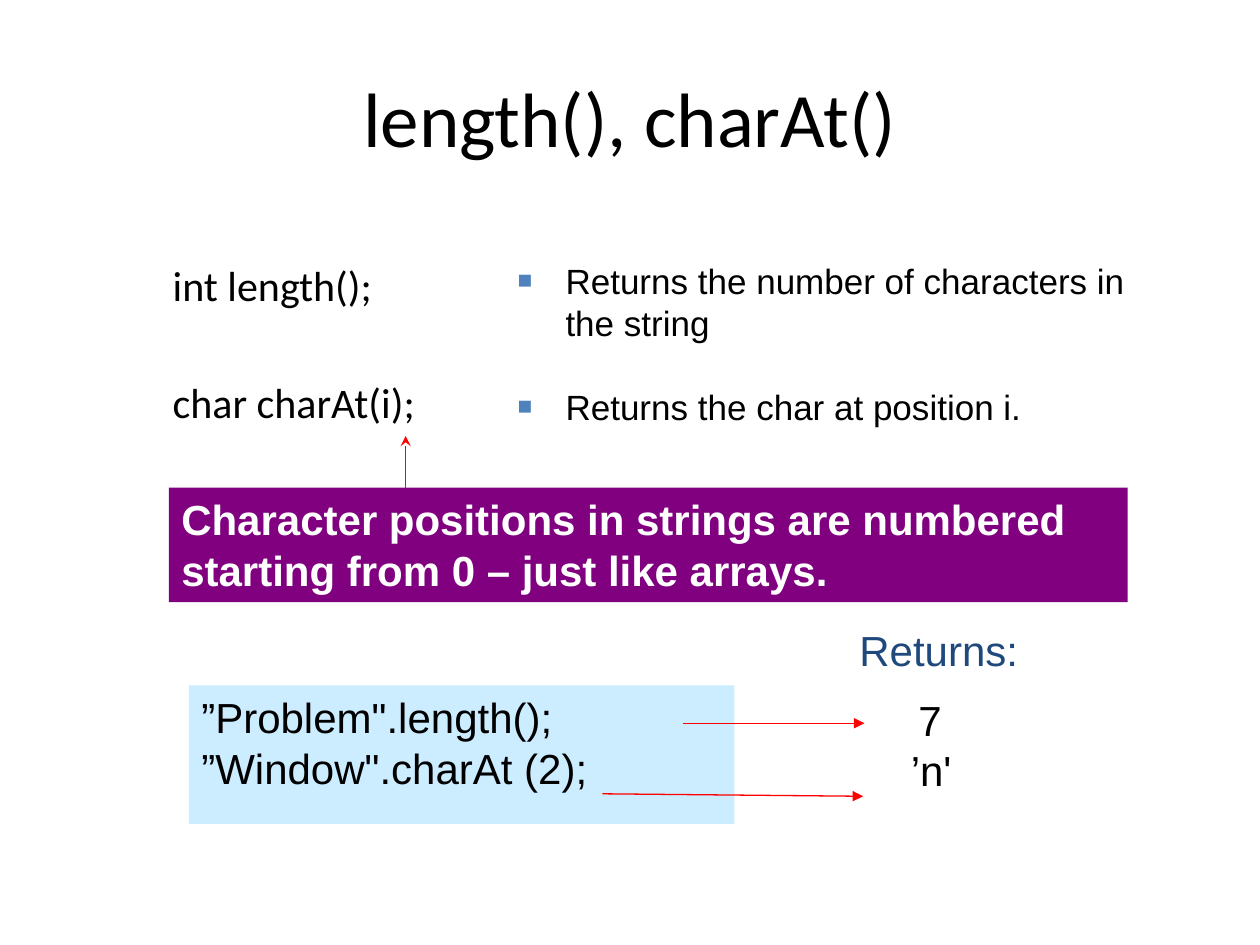
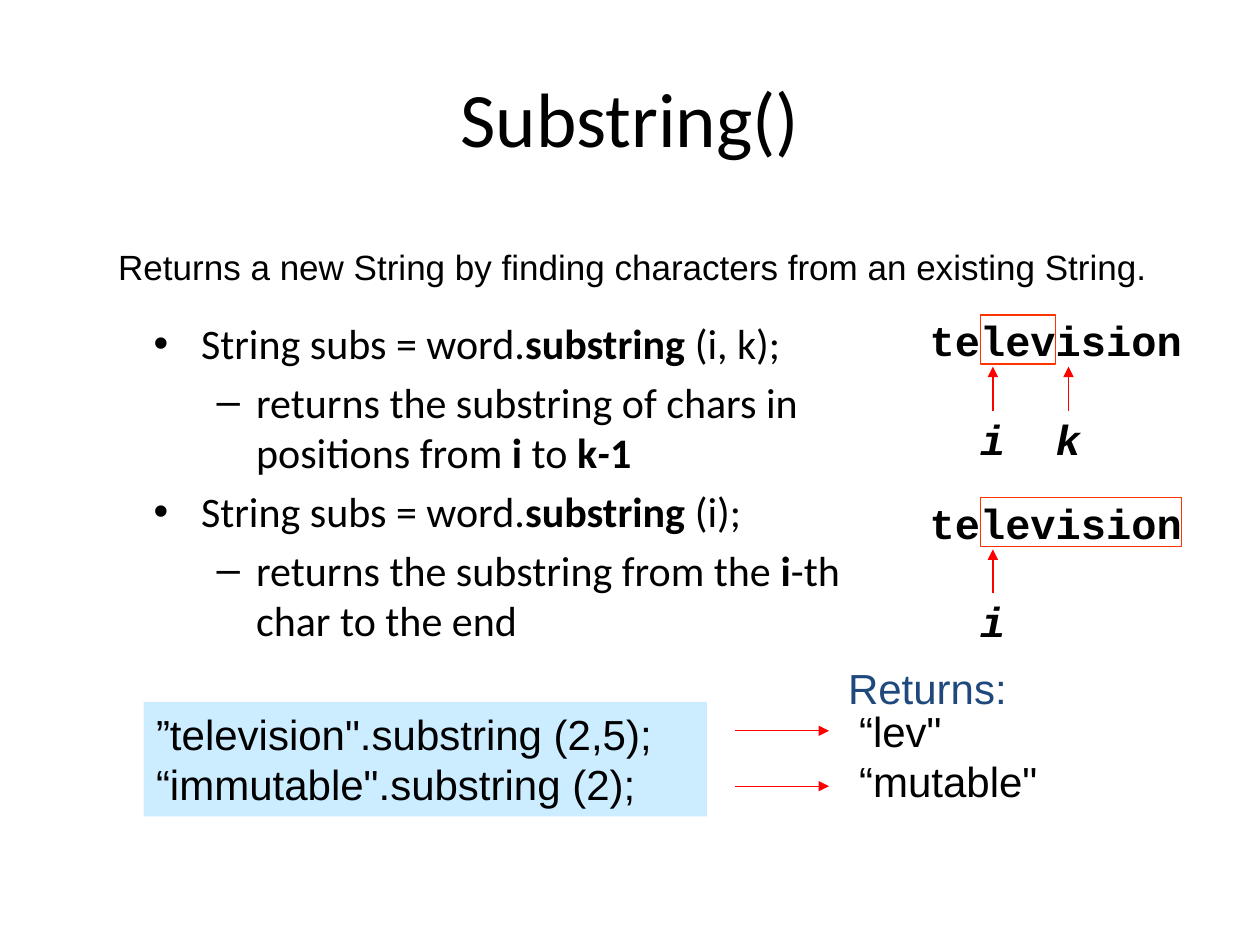
from dataclasses import dataclass

from lxml.etree import SubElement
from pptx import Presentation
from pptx.dml.color import RGBColor
from pptx.enum.shapes import MSO_CONNECTOR, MSO_SHAPE
from pptx.enum.text import MSO_ANCHOR, MSO_AUTO_SIZE, PP_ALIGN
from pptx.oxml.ns import qn
from pptx.util import Inches, Pt


@dataclass(frozen=True)
class Theme:
    ink: str = "000000"
    white: str = "FFFFFF"
    heading: str = "1F497D"
    bullet: str = "4F81BD"
    code_fill: str = "CCECFF"
    note_fill: str = "800080"
    arrow: str = "FF0000"
    frame: str = "FF3300"
    title_font: str = "Calibri"
    text_font: str = "Arial"
    mono_font: str = "Courier New"
    title_size: int = 44
    main_size: int = 24
    small_size: int = 20
    line_width: float = 0.75


THEME = Theme()

# Content: a paragraph is a list of (text, style) runs, styles being "b" and "i"
LENGTH_TITLE = "length(), charAt()"
SIGNATURES = ["int length();", "char charAt(i);"]
MEANINGS = ["Returns the number of characters in the string",
            "Returns the char at position i."]
POSITION_NOTE = "Character positions in strings are numbered starting from 0 – just like arrays."
LENGTH_CALLS = ["”Problem\".length();", "”Window\".charAt (2);"]
LENGTH_RESULTS = ["7", "’n'"]
RETURNS = "Returns:"

SUBSTRING_TITLE = "Substring()"
SUBSTRING_INTRO = "Returns a new String by finding characters from an existing String."
SUBSTRING_FORMS = [
    (0, [("String subs = word.", ""), ("substring", "b"), (" (i, k);", "")]),
    (1, [("returns the substring of chars in positions from ", ""), ("i", "b"),
         (" to ", ""), ("k", "b"), ("-", "bi"), ("1", "b")]),
    (0, [("String subs = word.", ""), ("substring ", "b"), ("(i);", "")]),
    (1, [("returns the substring from the ", ""), ("i", "b"),
         ("-th char to the end", "")]),
]
SUBSTRING_CALLS = ["”television\".substring (2,5);", "“immutable\".substring (2);"]
SUBSTRING_RESULTS = ["“lev\"", "“mutable\""]

# Each word: top, framed slice, and the index that each label points at
WORD = "television"
MARKED_WORDS = [(2.45, (2, 5), {"i": 2, "k": 5}),
                (3.9, (2, len(WORD)), {"i": 2})]
WORD_LEFT, CHAR_WIDTH = 7.38, 0.2


# Shared helpers
def rgb(value):
    return RGBColor.from_string(value)


def place(shape, box):
    shape.left, shape.top, shape.width, shape.height = map(Inches, box)


def add_runs(paragraph, runs, font=THEME.text_font, size=THEME.main_size, color=THEME.ink):
    for text, style in runs:
        run = paragraph.add_run()
        run.text = text
        run.font.name = font
        run.font.size = Pt(size)
        run.font.bold = "b" in style
        run.font.italic = "i" in style
        run.font.color.rgb = rgb(color)


def paragraphs_of(frame, count):
    return [frame.paragraphs[0]] + [frame.add_paragraph() for _ in range(count - 1)]


def write(frame, lines, style="", align=PP_ALIGN.LEFT, **look):
    frame.word_wrap = True
    frame.auto_size = MSO_AUTO_SIZE.NONE
    frame.vertical_anchor = MSO_ANCHOR.TOP
    paragraphs = paragraphs_of(frame, len(lines))
    for paragraph, line in zip(paragraphs, lines):
        paragraph.alignment = align
        add_runs(paragraph, [(line, style)], **look)
    return paragraphs


def add_text(slide, box, lines, **look):
    return write(slide.shapes.add_textbox(*map(Inches, box)).text_frame, lines, **look)


def add_rect(slide, box, fill=None, outline=None):
    rect = slide.shapes.add_shape(MSO_SHAPE.RECTANGLE, *map(Inches, box))
    rect.shadow.inherit = False
    if fill:
        rect.fill.solid()
        rect.fill.fore_color.rgb = rgb(fill)
    else:
        rect.fill.background()
    if outline:
        rect.line.color.rgb = rgb(outline)
        rect.line.width = Pt(THEME.line_width)
    else:
        rect.line.fill.background()
    return rect


def add_panel(slide, box, fill, lines, **look):
    write(add_rect(slide, box, fill).text_frame, lines, **look)


def add_arrow(slide, start, end, head="triangle"):
    arrow = slide.shapes.add_connector(MSO_CONNECTOR.STRAIGHT, *map(Inches, start + end))
    arrow.line.color.rgb = rgb(THEME.arrow)
    arrow.line.width = Pt(THEME.line_width)
    SubElement(arrow.line._get_or_add_ln(), qn("a:tailEnd"), type=head)
    SubElement(arrow._element.spPr, qn("a:effectLst"))


def add_returns_heading(slide, left, top):
    add_text(slide, (left, top, 1.58, 0.5), [RETURNS],
             align=PP_ALIGN.CENTER, color=THEME.heading)


def set_indent(paragraph, left, first=0):
    properties = paragraph._p.get_or_add_pPr()
    properties.set("marL", str(Inches(left)))
    properties.set("indent", str(Inches(first)))
    return properties


def start_slide(deck, title, body_box):
    slide = deck.slides.add_slide(deck.slide_layouts[1])
    place(slide.shapes.title, (0.5, 0.3, 9, 1.25))
    heading = slide.shapes.title.text_frame
    heading.auto_size = MSO_AUTO_SIZE.NONE
    heading.paragraphs[0].alignment = PP_ALIGN.CENTER
    add_runs(heading.paragraphs[0], [(title, "")], THEME.title_font, THEME.title_size)
    body = slide.placeholders[1]
    place(body, body_box)
    body.text_frame.auto_size = MSO_AUTO_SIZE.NONE
    return slide, body.text_frame


def add_meanings(slide):
    for paragraph in add_text(slide, (4.01, 2.01, 5.15, 1.53), MEANINGS,
                              size=THEME.small_size):
        paragraph.line_spacing = Pt(24)
        paragraph.space_after = Pt(24)
        properties = set_indent(paragraph, 0.38, -0.38)
        color = SubElement(properties, qn("a:buClr"))
        SubElement(color, qn("a:srgbClr"), val=THEME.bullet)
        SubElement(properties, qn("a:buSzPct"), val="70000")
        SubElement(properties, qn("a:buFont"), typeface=THEME.text_font)
        SubElement(properties, qn("a:buChar"), char="■")


def add_marked_word(slide, top, framed, labels):
    def char_left(index):
        return WORD_LEFT + index * CHAR_WIDTH

    mono = dict(font=THEME.mono_font)
    add_text(slide, (WORD_LEFT - 0.1, top, 2.3, 0.5), [WORD], style="b", **mono)
    first, end = framed
    add_rect(slide, (char_left(first), top + 0.05, (end - first) * CHAR_WIDTH, 0.39),
             outline=THEME.frame)
    for label, index in labels.items():
        middle = char_left(index) + CHAR_WIDTH / 2
        add_arrow(slide, (middle, top + 0.81), (middle, top + 0.46))
        add_text(slide, (char_left(index) - 0.1, top + 0.78, 0.5, 0.5), [label],
                 style="bi", **mono)


# Slides
def build_length_slide(deck):
    slide, body = start_slide(deck, LENGTH_TITLE, (1.27, 2.01, 2.38, 1.47))
    signatures = write(body, SIGNATURES, font=THEME.title_font)
    for signature in signatures:
        SubElement(set_indent(signature, 0), qn("a:buNone"))
    signatures[1].space_before = Pt(38)
    add_meanings(slide)

    results = add_text(slide, (7.13, 5.46, 1.22, 1.1), LENGTH_RESULTS)
    set_indent(results[0], 0.06)
    add_panel(slide, (1.5, 5.44, 4.33, 1.1), THEME.code_fill, LENGTH_CALLS)
    add_returns_heading(slide, 6.66, 4.91)
    add_arrow(slide, (5.42, 5.74), (6.86, 5.74))
    add_arrow(slide, (4.78, 6.3), (6.85, 6.32))

    add_panel(slide, (1.34, 3.87, 7.61, 0.91), THEME.note_fill, [POSITION_NOTE],
              style="b", color=THEME.white)
    add_arrow(slide, (3.22, 3.87), (3.22, 3.46), head="stealth")


def build_substring_slide(deck):
    slide, body = start_slide(deck, SUBSTRING_TITLE, (1.12, 2.47, 6.11, 2.82))
    forms = paragraphs_of(body, len(SUBSTRING_FORMS))
    for paragraph, (level, runs) in zip(forms, SUBSTRING_FORMS):
        paragraph.level = level
        add_runs(paragraph, runs, THEME.title_font)
    add_text(slide, (0.84, 1.9, 8.57, 0.43), [SUBSTRING_INTRO], size=THEME.small_size)

    for marked in MARKED_WORDS:
        add_marked_word(slide, *marked)

    add_text(slide, (6.72, 5.55, 2.72, 0.91), SUBSTRING_RESULTS)
    add_panel(slide, (1.14, 5.57, 4.47, 0.91), THEME.code_fill, SUBSTRING_CALLS)
    add_returns_heading(slide, 6.57, 5.21)
    for y in (5.8, 6.24):
        add_arrow(slide, (5.83, y), (6.58, y))


def main():
    deck = Presentation()
    deck.slide_width, deck.slide_height = Inches(10), Inches(7.5)
    build_length_slide(deck)
    build_substring_slide(deck)
    deck.save("out.pptx")


if __name__ == "__main__":
    main()
